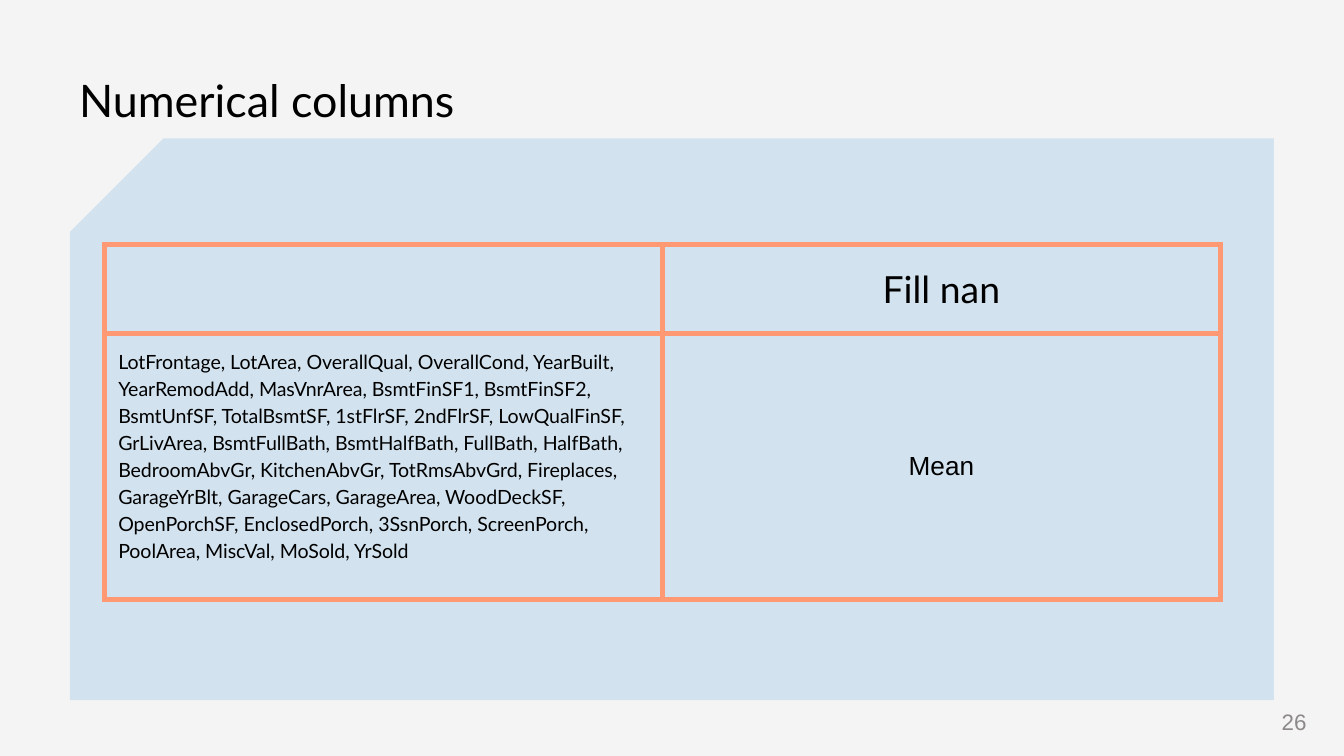
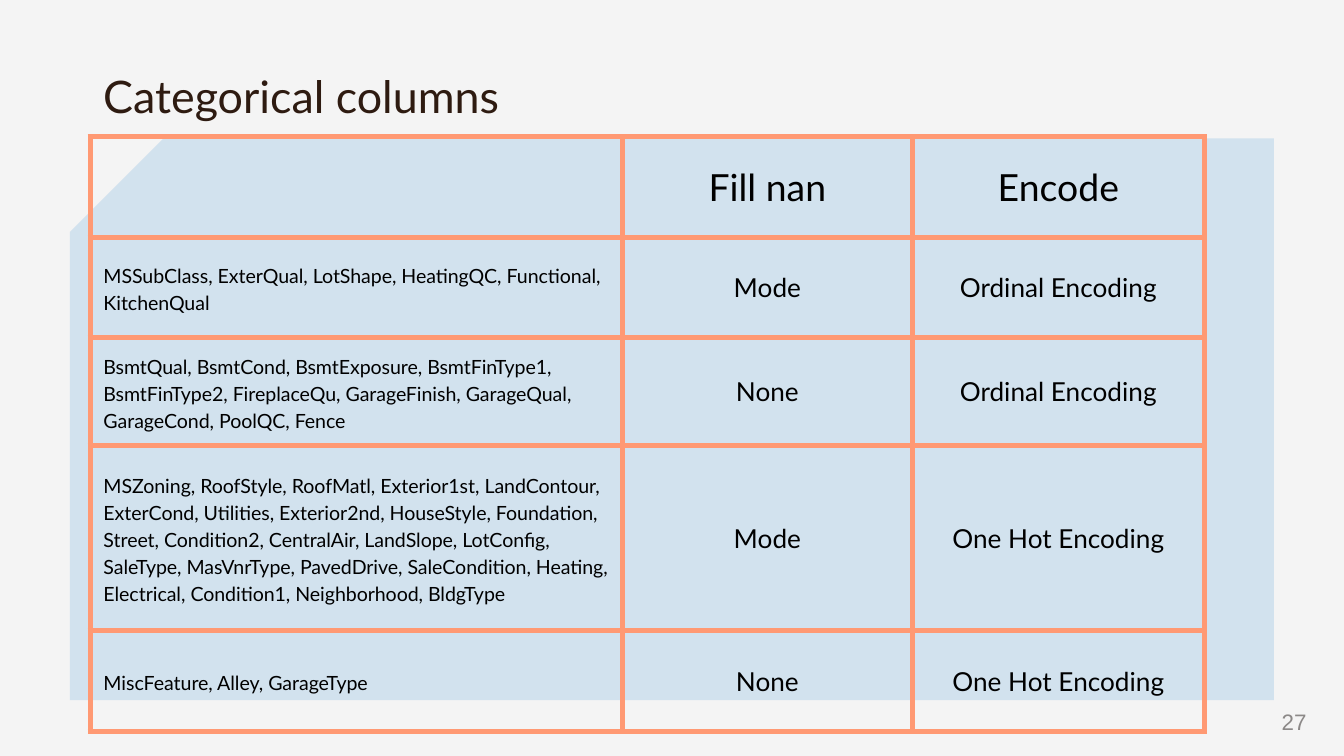
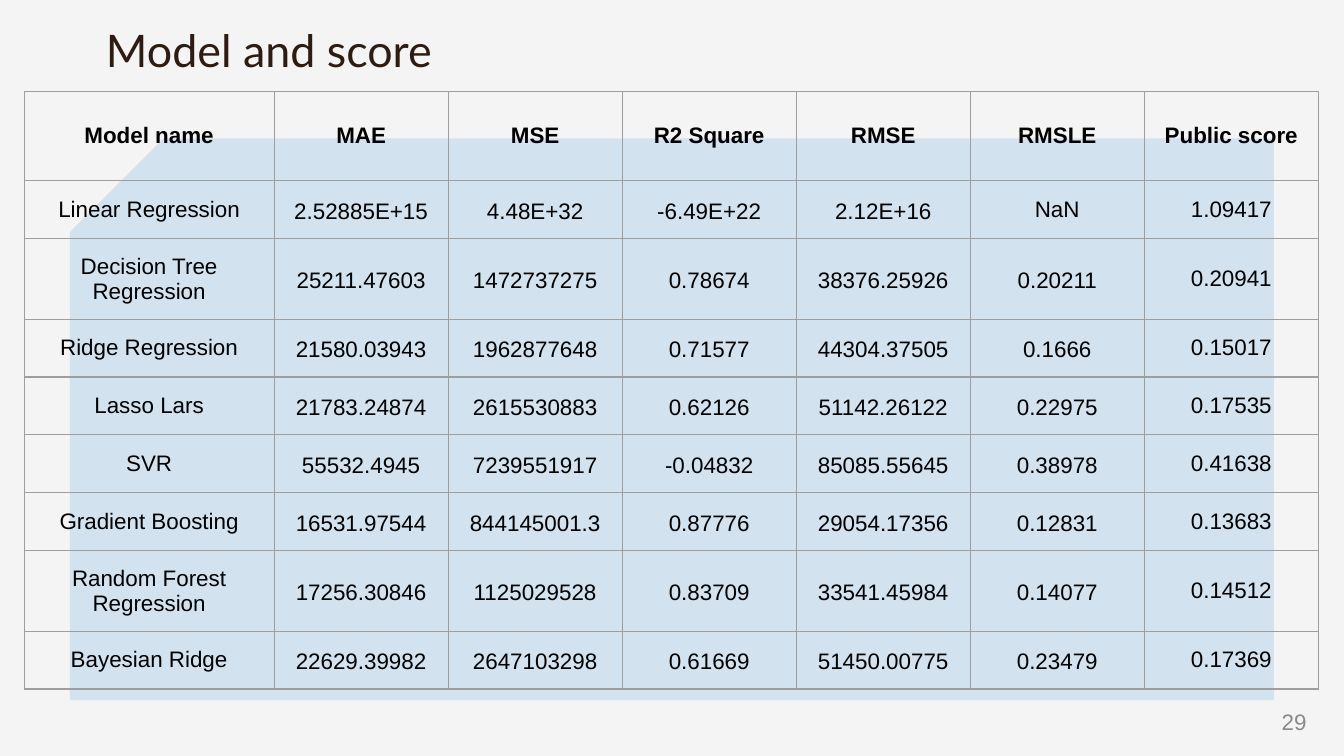
import pptx
import pptx.dml.color
import pptx.enum.shapes
import pptx.enum.text
import pptx.oxml
import pptx.oxml.ns
import pptx.util

ALIGN = pptx.enum.text.PP_ALIGN
ANCHOR = pptx.enum.text.MSO_ANCHOR
WIDTH, HEIGHT = pptx.util.Inches(10), pptx.util.Inches(5.625)

COLORS = {
    "page": "F4F4F4", "band": "D2E2EE", "text": "000000", "title": "2E1B11",
    "number": "8C8988", "coral": "FF9973", "gray": "9E9E9E",
}


def style(name, size, color="text", bold=False, align=ALIGN.LEFT, spacing=None, anchor=ANCHOR.MIDDLE):
    """Return the format values of one kind of text."""
    return {
        "font": {"name": name, "size": pptx.util.Pt(size), "bold": bold},
        "paragraph": {"alignment": align, "line_spacing": spacing},
        "anchor": anchor,
        "color": COLORS[color],
    }


TITLE = style("Lato", 24, "title", anchor=ANCHOR.TOP)
BLACK_TITLE = style("Lato", 24, anchor=ANCHOR.TOP)
PAGE_NUMBER = style("Arial", 12, "number", align=ALIGN.RIGHT)
METHOD_HEAD = style("Lato", 20, align=ALIGN.CENTER)
METHOD = style("Lato", 14, align=ALIGN.CENTER)
MEAN = style("Arial", 14, align=ALIGN.CENTER)
FEATURES = style("Lato", 10.5, spacing=1.15)
TOP_FEATURES = style("Lato", 10.5, spacing=1.15, anchor=ANCHOR.TOP)
SCORE_HEAD = style("Arial", 12, bold=True, align=ALIGN.CENTER)
MODEL = style("Arial", 12, align=ALIGN.CENTER)
SCORE = style("Arial", 12, align=ALIGN.CENTER, spacing=1.15)

NUMERICAL = [
    ["", "Fill nan"],
    ["LotFrontage, LotArea, OverallQual, OverallCond, YearBuilt, YearRemodAdd, MasVnrArea, "
     "BsmtFinSF1, BsmtFinSF2, BsmtUnfSF, TotalBsmtSF, 1stFlrSF, 2ndFlrSF, LowQualFinSF, "
     "GrLivArea, BsmtFullBath, BsmtHalfBath, FullBath, HalfBath, BedroomAbvGr, KitchenAbvGr, "
     "TotRmsAbvGrd, Fireplaces, GarageYrBlt, GarageCars, GarageArea, WoodDeckSF, OpenPorchSF, "
     "EnclosedPorch, 3SsnPorch, ScreenPorch, PoolArea, MiscVal, MoSold, YrSold", "Mean"],
]

CATEGORICAL = [
    ["", "Fill nan", "Encode"],
    ["MSSubClass, ExterQual, LotShape, HeatingQC, Functional, KitchenQual",
     "Mode", "Ordinal Encoding"],
    ["BsmtQual, BsmtCond, BsmtExposure, BsmtFinType1, BsmtFinType2, FireplaceQu, "
     "GarageFinish, GarageQual, GarageCond, PoolQC, Fence", "None", "Ordinal Encoding"],
    ["MSZoning, RoofStyle, RoofMatl, Exterior1st, LandContour, ExterCond, Utilities, "
     "Exterior2nd, HouseStyle, Foundation, Street, Condition2, CentralAir, LandSlope, "
     "LotConfig, SaleType, MasVnrType, PavedDrive, SaleCondition, Heating, Electrical, "
     "Condition1, Neighborhood, BldgType", "Mode", "One Hot Encoding"],
    ["MiscFeature, Alley, GarageType", "None", "One Hot Encoding"],
]

SCORES = [
    ["Model name", "MAE", "MSE", "R2 Square", "RMSE", "RMSLE", "Public score"],
    ["Linear Regression", "2.52885E+15", "4.48E+32", "-6.49E+22", "2.12E+16", "NaN", "1.09417"],
    ["Decision Tree Regression", "25211.47603", "1472737275", "0.78674", "38376.25926", "0.20211", "0.20941"],
    ["Ridge Regression", "21580.03943", "1962877648", "0.71577", "44304.37505", "0.1666", "0.15017"],
    ["Lasso Lars", "21783.24874", "2615530883", "0.62126", "51142.26122", "0.22975", "0.17535"],
    ["SVR", "55532.4945", "7239551917", "-0.04832", "85085.55645", "0.38978", "0.41638"],
    ["Gradient Boosting", "16531.97544", "844145001.3", "0.87776", "29054.17356", "0.12831", "0.13683"],
    ["Random Forest Regression", "17256.30846", "1125029528", "0.83709", "33541.45984", "0.14077", "0.14512"],
    ["Bayesian Ridge", "22629.39982", "2647103298", "0.61669", "51450.00775", "0.23479", "0.17369"],
]


def across(percent):
    """Turn a percentage of the slide width into a length."""
    return round(WIDTH * percent / 100)


def down(percent):
    """Turn a percentage of the slide height into a length."""
    return round(HEIGHT * percent / 100)


def place(left, top, width, height):
    """Return a position and size given in percentages of the slide."""
    return across(left), down(top), across(width), down(height)


def rgb(value):
    """Return the colour of a hex string."""
    return pptx.dml.color.RGBColor.from_string(value)


def set_values(obj, values):
    """Set attributes from a dict."""
    for key, value in values.items():
        setattr(obj, key, value)


def write(tf, text, look):
    """Write one formatted paragraph into a text frame."""
    p = tf.paragraphs[0]
    set_values(p, look["paragraph"])
    r = p.add_run()
    r.text = text
    set_values(r.font, look["font"])
    r.font.color.rgb = rgb(look["color"])


def add_text(s, box, text, look, pad=0.1):
    """Add a text box with the given top and bottom padding in inches."""
    tf = s.shapes.add_textbox(*place(*box)).text_frame
    set_values(tf, {
        "word_wrap": True,
        "vertical_anchor": look["anchor"],
        "margin_left": pptx.util.Inches(0.1),
        "margin_right": pptx.util.Inches(0.1),
        "margin_top": pptx.util.Inches(pad),
        "margin_bottom": pptx.util.Inches(pad),
    })
    write(tf, text, look)
    return tf


def add_band(s):
    """Add the pale panel with its cut top left corner."""
    sp = s.shapes.add_shape(
        pptx.enum.shapes.MSO_SHAPE.SNIP_1_RECTANGLE, *place(5.2, 18.3, 89.6, 74.3))
    sp.adjustments[0] = 0.167
    sp.shadow.inherit = False
    sp.fill.solid()
    sp.fill.fore_color.rgb = rgb(COLORS["band"])
    sp.line.fill.background()
    sp._element.spPr.find(pptx.oxml.ns.qn("a:xfrm")).set("flipH", "1")


def add_borders(cell, color, points):
    """Draw the four borders of a cell."""
    tc_pr = cell._tc.get_or_add_tcPr()
    for side in "LRTB":
        tc_pr.append(pptx.oxml.parse_xml(
            f'<a:ln{side} {pptx.oxml.ns.nsdecls("a")} w="{pptx.util.Pt(points)}">'
            f'<a:solidFill><a:srgbClr val="{color}"/></a:solidFill></a:ln{side}>'))


def add_grid(s, corner, widths, heights, rows, border, look_of):
    """Add an unfilled table whose cell styles come from look_of(row, column, text)."""
    box = place(*corner, sum(widths), sum(heights))
    table = s.shapes.add_table(len(heights), len(widths), *box).table
    set_values(table, {"first_row": False, "horz_banding": False})
    for column, width in zip(table.columns, widths):
        column.width = across(width)
    for row, height in zip(table.rows, heights):
        row.height = down(height)
    margins = dict.fromkeys(
        ["margin_left", "margin_right", "margin_top", "margin_bottom"], pptx.util.Inches(0.1))
    for i, texts in enumerate(rows):
        for j, text in enumerate(texts):
            cell = table.cell(i, j)
            look = look_of(i, j, text)
            add_borders(cell, *border)
            cell.fill.background()
            set_values(cell, {**margins, "vertical_anchor": look["anchor"]})
            if text:
                write(cell.text_frame, text, look)


def add_page(prs, number):
    """Add a slide with its panel and page number."""
    s = prs.slides.add_slide(prs.slide_layouts[6])
    s.background.fill.solid()
    s.background.fill.fore_color.rgb = rgb(COLORS["page"])
    add_band(s)
    add_text(s, (75.7, 92.8, 22.5, 5.3), str(number), PAGE_NUMBER, 0.05)
    return s


def numerical_look(i, j, text):
    """Choose the style of a cell for numerical columns."""
    if i == 0:
        return METHOD_HEAD
    return MEAN if j else TOP_FEATURES


def categorical_look(i, j, text):
    """Choose the style of a cell for categorical columns."""
    if i == 0:
        return METHOD_HEAD
    return METHOD if j else FEATURES


def score_look(i, j, text):
    """Choose the style of a cell in the score table."""
    if i == 0:
        return SCORE_HEAD
    return MODEL if j in (0, 6) or text == "NaN" else SCORE


def main():
    """Build and save the slides."""
    prs = pptx.Presentation()
    set_values(prs, {"slide_width": WIDTH, "slide_height": HEIGHT})
    thick, thin = (COLORS["coral"], 3), (COLORS["gray"], 0.75)

    s = add_page(prs, 26)
    add_grid(s, (7.8, 32.4), [41.5] * 2, [11.7, 35.2], NUMERICAL, thick, numerical_look)
    tf = add_text(s, (4.9, 7.8, 39.2, 10.9), "Numerical columns", BLACK_TITLE)
    tf.auto_size = pptx.enum.text.MSO_AUTO_SIZE.SHAPE_TO_FIT_TEXT

    s = add_page(prs, 27)
    add_text(s, (6.7, 7.3, 35.3, 11.7), "Categorical columns", TITLE)
    add_grid(s, (6.7, 18.1), [39.6, 21.6, 21.7], [13.3, 13.3, 13.9, 24.5, 13.3],
             CATEGORICAL, thick, categorical_look)

    s = add_page(prs, 29)
    add_text(s, (6.9, 1.2, 30.2, 18.3), "Model and score", TITLE)
    add_grid(s, (1.8, 12.1), [18.6] + [12.95] * 6, [11.8, 7.4, 7.6, 7.6] + [7.4] * 5,
             SCORES, thin, score_look)

    prs.save("out.pptx")


if __name__ == "__main__":
    main()
